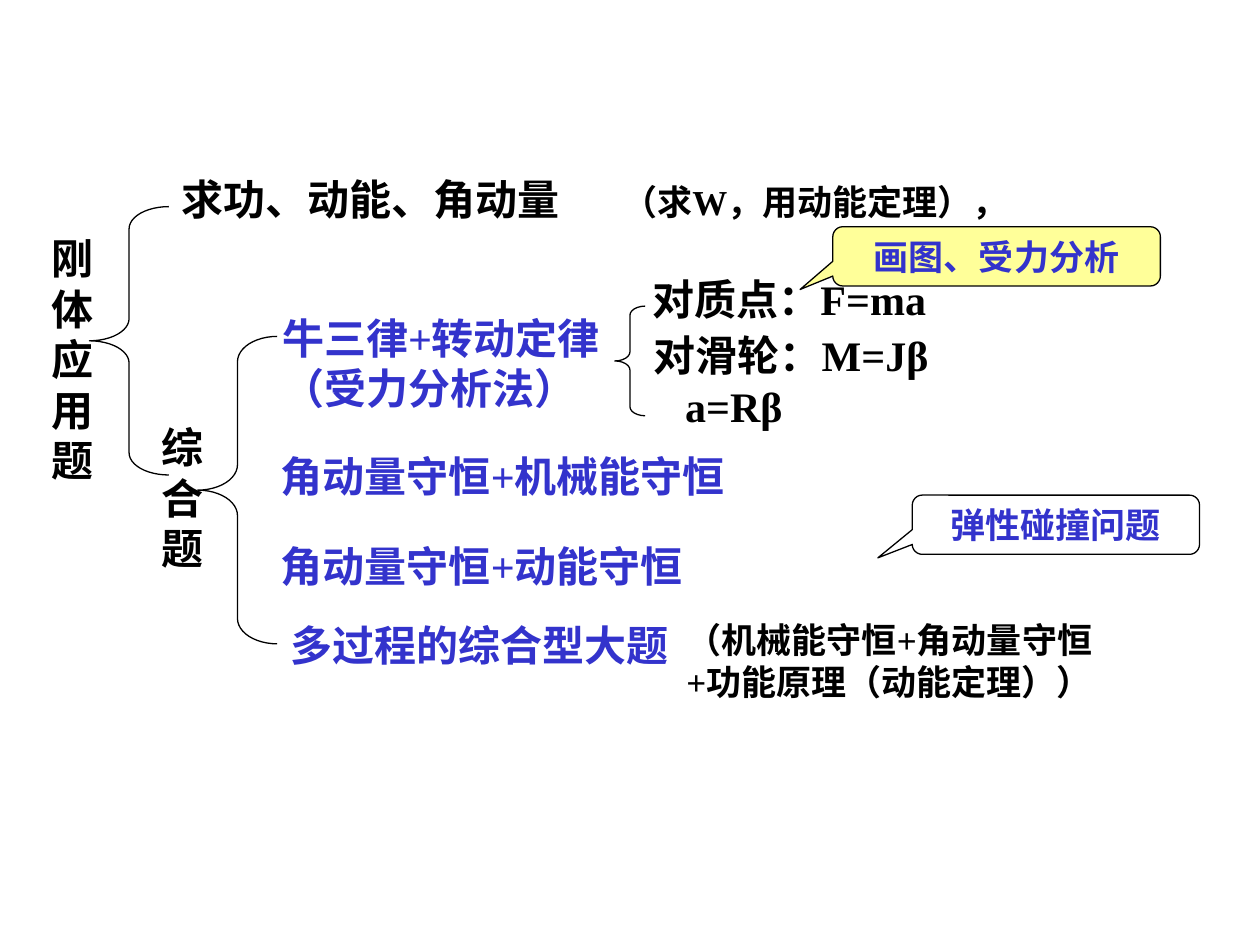
from pptx import Presentation
from pptx.dml.color import RGBColor
from pptx.enum.shapes import MSO_SHAPE
from pptx.enum.text import MSO_ANCHOR, MSO_AUTO_SIZE, PP_ALIGN
from pptx.util import Inches, Pt

BLACK, BLUE, WHITE, YELLOW = "000000", "3333CC", "FFFFFF", "FFFF99"


def paint(color, code):
    """Set a colour from a hex string."""
    color.rgb = RGBColor.from_string(code)


def fill(shape, code):
    """Give a shape a solid fill."""
    shape.fill.solid()
    paint(shape.fill.fore_color, code)


def write(par, text, size, code):
    """Add one bold run to a paragraph."""
    run = par.add_run()
    run.text = text
    font = run.font
    font.name, font.size, font.bold = "Times New Roman", Pt(size), True
    paint(font.color, code)


def label(slide, box, lines, code=BLACK, size=24, wrap=False):
    """Add a text box with one paragraph per line."""
    shape = slide.shapes.add_textbox(*map(Inches, box))
    frame = shape.text_frame
    frame.word_wrap = wrap
    frame.auto_size = MSO_AUTO_SIZE.SHAPE_TO_FIT_TEXT
    for num, line in enumerate(lines):
        par = frame.add_paragraph() if num else frame.paragraphs[0]
        write(par, line, size, code)
    return shape


def form(slide, kind, box, adjust):
    """Add a preset shape with a thin black outline."""
    shape = slide.shapes.add_shape(kind, *map(Inches, box))
    shape.shadow.inherit = False
    shape.line.width = Pt(0.75)
    paint(shape.line.color, BLACK)
    for num, value in enumerate(adjust):
        shape.adjustments[num] = value
    return shape


def brace(slide, box, bend):
    """Add an unfilled left brace."""
    form(slide, MSO_SHAPE.LEFT_BRACE, box, (bend, 0.5)).fill.background()


def callout(slide, box, text, code, tip):
    """Add a rounded callout with centred text."""
    shape = form(slide, MSO_SHAPE.ROUNDED_RECTANGULAR_CALLOUT, box, (tip, 0.56, 0.17))
    fill(shape, code)
    frame = shape.text_frame
    frame.word_wrap = True
    frame.vertical_anchor = MSO_ANCHOR.MIDDLE
    par = frame.paragraphs[0]
    par.alignment = PP_ALIGN.CENTER
    write(par, text, 20, BLUE)


def main():
    """Build the tree of problem types."""
    deck = Presentation()
    deck.slide_width, deck.slide_height = Inches(10), Inches(7.5)
    slide = deck.slides.add_slide(deck.slide_layouts[6])

    label(slide, (2.14, 2.43, 2.88, 0.9), ["牛三律+转动定律", "（受力分析法）"], BLUE)
    brace(slide, (4.88, 2.43, 0.24, 0.87), 0.3)
    label(slide, (5.08, 2.12, 2.45, 0.5), ["对质点：F=ma"])
    wheel = label(slide, (5.09, 2.57, 2.46, 0.9), ["对滑轮：M=Jβ", "a=Rβ"])
    props = wheel.text_frame.paragraphs[1]._p.get_or_add_pPr()
    props.set("marL", str(Inches(0.25)))
    props.set("indent", "0")

    label(slide, (2.13, 3.53, 3.88, 0.5), ["角动量守恒+机械能守恒"], BLUE)
    label(slide, (2.13, 4.24, 3.55, 0.5), ["角动量守恒+动能守恒"], BLUE)
    label(slide, (4.84, 1.38, 3.39, 0.44), ["（求W，用动能定理），"], size=20)

    brace(slide, (0.71, 1.64, 0.63, 2.13), 0.28)
    label(slide, (1.34, 1.33, 3.2, 0.5), ["求功、动能、角动量"])
    label(slide, (0.31, 1.8, 0.55, 2.1), ["刚体应用题"], wrap=True)
    brace(slide, (1.57, 2.67, 0.63, 2.44), 0.32)
    label(slide, (1.18, 3.3, 0.71, 1.3), ["综合题"], wrap=True)

    label(slide, (2.21, 4.87, 3.2, 0.5), ["多过程的综合型大题"], BLUE)
    note = label(slide, (5.35, 4.86, 3.7, 0.77),
                 ["（机械能守恒+角动量守恒+功能原理（动能定理））"], size=20, wrap=True)
    fill(note, WHITE)
    callout(slide, (7.24, 3.93, 2.28, 0.47), "弹性碰撞问题", WHITE, -0.62)
    callout(slide, (6.61, 1.8, 2.6, 0.47), "画图、受力分析", YELLOW, -0.6)
    deck.save("out.pptx")


if __name__ == "__main__":
    main()
